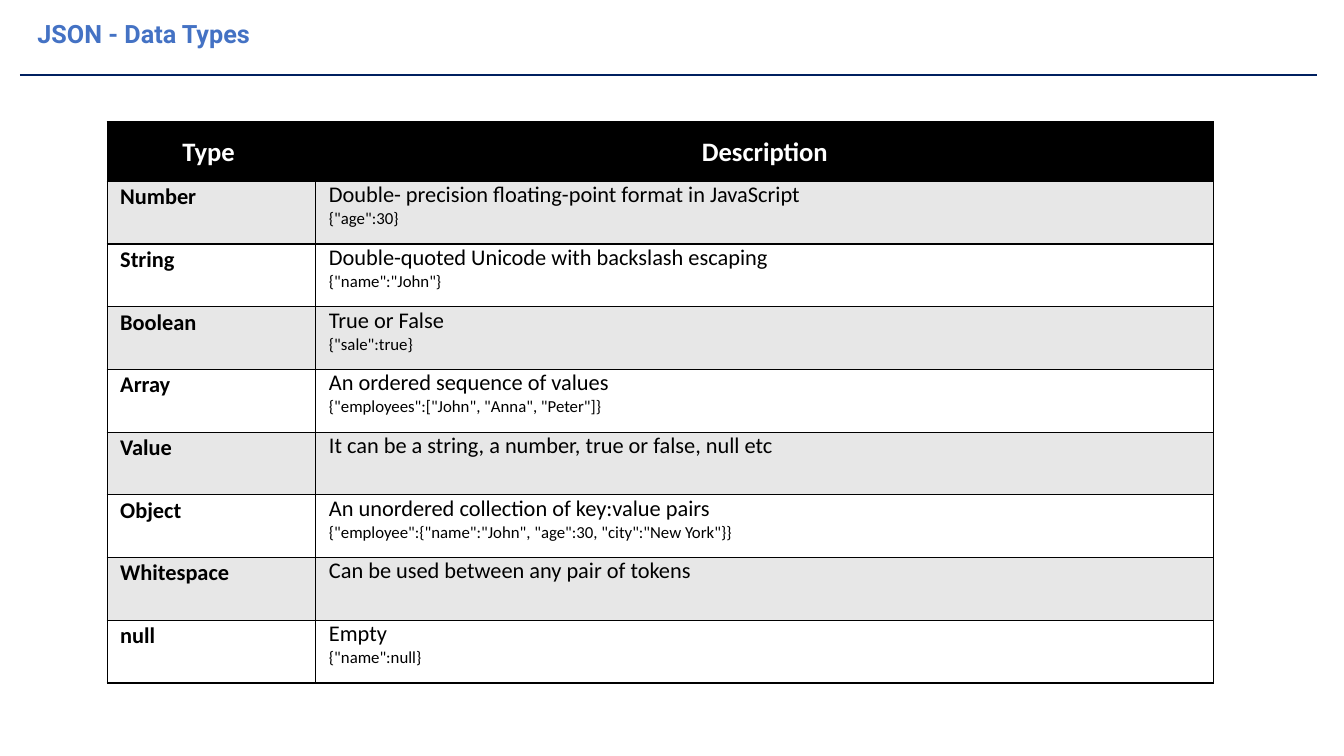
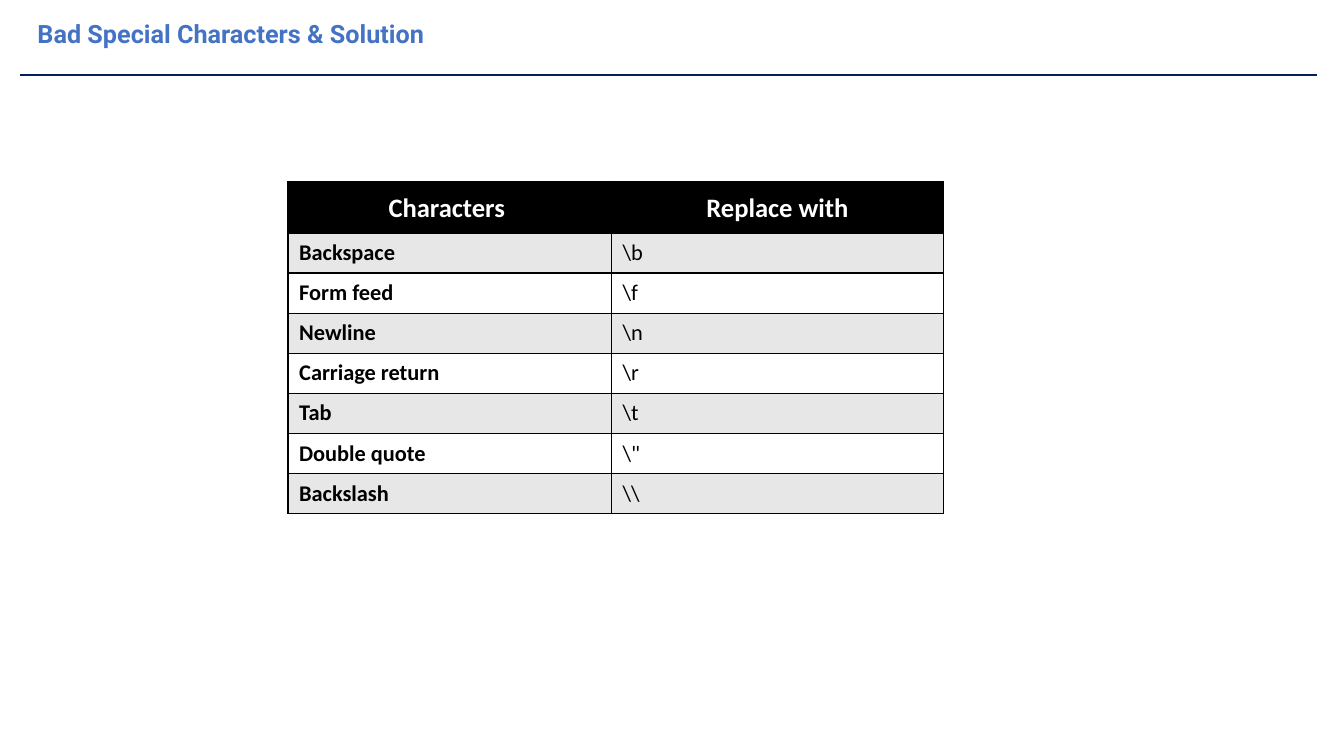
from dataclasses import dataclass

from lxml import etree
from pptx import Presentation
from pptx.dml.color import RGBColor
from pptx.enum.shapes import MSO_CONNECTOR
from pptx.enum.text import MSO_ANCHOR, MSO_AUTO_SIZE, PP_ALIGN
from pptx.oxml.ns import qn
from pptx.presentation import Presentation as Deck
from pptx.slide import Slide
from pptx.table import _Cell as Cell
from pptx.text.text import _Paragraph as Paragraph
from pptx.util import Cm, Pt

STRAIGHT = MSO_CONNECTOR.STRAIGHT
TOP, MIDDLE = MSO_ANCHOR.TOP, MSO_ANCHOR.MIDDLE
LEFT, CENTER = PP_ALIGN.LEFT, PP_ALIGN.CENTER
NO_AUTOFIT = MSO_AUTO_SIZE.NONE
TITLE_ONLY = 5

COLORS = {
    "title": "4472C4",
    "rule": "002060",
    "header": "000000",
    "header_text": "FFFFFF",
    "text": "000000",
    "border": "000000",
    "odd_row": "E7E7E7",
    "even_row": "FFFFFF",
}
TITLE_FONT = "Roboto"
TABLE_FONT = "Calibri"
HEADER_MARGIN = 0.33


@dataclass(frozen=True)
class Row:
    label: str
    description: str
    example: str = ""


@dataclass(frozen=True)
class TableSpec:
    """A two-column table; all lengths are in centimetres."""
    left: float
    top: float
    widths: tuple[float, float]
    header_height: float
    row_height: float
    margin: float
    anchor: MSO_ANCHOR
    label_spacing: float
    headers: tuple[str, str]
    rows: tuple[Row, ...]


DATA_TYPES = TableSpec(
    left=2.7, top=3.07, widths=(5.26, 22.63), header_height=1.5, row_height=1.58,
    margin=0.33, anchor=TOP, label_spacing=1.07,
    headers=("Type ", "Description"),
    rows=(
        Row("Number", "Double- precision floating-point format in JavaScript", '{"age":30}'),
        Row("String", "Double-quoted Unicode with backslash escaping", '{"name":"John"}'),
        Row("Boolean", "True or False", '{"sale":true}'),
        Row("Array", "An ordered sequence of values",
            '{"employees":["John", "Anna", "Peter"]}'),
        Row("Value", "It can be a string, a number, true or false, null etc"),
        Row("Object", "An unordered collection of key:value pairs",
            '{"employee":{"name":"John", "age":30, "city":"New York"}}'),
        Row("Whitespace", "Can be used between any pair of tokens"),
        Row("null", "Empty", '{"name":null}'),
    ),
)

SPECIAL_CHARACTERS = TableSpec(
    left=7.26, top=4.57, widths=(8.15, 8.36), header_height=1.3, row_height=1.01,
    margin=0.28, anchor=MIDDLE, label_spacing=1.0,
    headers=("Characters ", "Replace with"),
    rows=(
        Row("Backspace", r"\b"),
        Row("Form feed", r"\f"),
        Row("Newline", r"\n"),
        Row("Carriage return", r"\r"),
        Row("Tab", r"\t"),
        Row("Double quote", r'\"'),
        Row("Backslash", r"\\"),
    ),
)


def rgb(name: str) -> RGBColor:
    return RGBColor.from_string(COLORS[name])


def style_paragraph(para: Paragraph, font: str, size: float, color: str,
                    bold: bool = False, align: PP_ALIGN = LEFT,
                    spacing: float = 1.0) -> None:
    para.alignment = align
    para.line_spacing = spacing
    para.font.name = font
    para.font.size = Pt(size)
    para.font.bold = bold
    para.font.color.rgb = rgb(color)


def add_titled_slide(deck: Deck, title: str) -> Slide:
    """Add a slide with the shared title style and the rule below it."""
    slide = deck.slides.add_slide(deck.slide_layouts[TITLE_ONLY])
    box = slide.shapes.title
    box.left, box.top, box.width, box.height = Cm(0.69), Cm(0.33), Cm(16.43), Cm(1.02)
    frame = box.text_frame
    frame.text = title
    frame.word_wrap = True
    frame.auto_size = NO_AUTOFIT
    frame.vertical_anchor = TOP
    style_paragraph(frame.paragraphs[0], TITLE_FONT, 18, "title", bold=True)

    rule = slide.shapes.add_connector(STRAIGHT, Cm(0.5), Cm(1.9), Cm(33.18), Cm(1.9))
    rule.line.color.rgb = rgb("rule")
    rule.line.width = Pt(1.5)
    etree.SubElement(rule._element.spPr, qn("a:effectLst"))
    return slide


def add_borders(cell: Cell) -> None:
    properties = cell._tc.get_or_add_tcPr()
    for side in ("a:lnL", "a:lnR", "a:lnT", "a:lnB"):
        line = etree.SubElement(properties, qn(side), w=str(Pt(1)))
        fill = etree.SubElement(line, qn("a:solidFill"))
        etree.SubElement(fill, qn("a:srgbClr"), val=COLORS["border"])


def format_cell(cell: Cell, fill: str, margin: float, anchor: MSO_ANCHOR) -> None:
    # Borders must precede the fill in the cell properties.
    add_borders(cell)
    cell.fill.solid()
    cell.fill.fore_color.rgb = rgb(fill)
    cell.margin_left = cell.margin_right = Cm(margin)
    cell.margin_top = cell.margin_bottom = 0
    cell.vertical_anchor = anchor


def fill_row(label: Cell, description: Cell, row: Row, spec: TableSpec) -> None:
    label.text = row.label
    style_paragraph(label.text_frame.paragraphs[0], TABLE_FONT, 16, "text",
                    bold=True, spacing=spec.label_spacing)
    description.text = row.description
    frame = description.text_frame
    style_paragraph(frame.paragraphs[0], TABLE_FONT, 16, "text")
    if row.example:
        para = frame.add_paragraph()
        para.text = row.example
        style_paragraph(para, TABLE_FONT, 12, "text")


def add_table(slide: Slide, spec: TableSpec) -> None:
    count = len(spec.rows)
    height = spec.header_height + count * spec.row_height
    table = slide.shapes.add_table(count + 1, 2, Cm(spec.left), Cm(spec.top),
                                   Cm(sum(spec.widths)), Cm(height)).table
    table.horz_banding = False
    for column, width in zip(table.columns, spec.widths):
        column.width = Cm(width)

    table.rows[0].height = Cm(spec.header_height)
    for cell, header in zip(table.rows[0].cells, spec.headers):
        format_cell(cell, "header", HEADER_MARGIN, MIDDLE)
        cell.text = header
        style_paragraph(cell.text_frame.paragraphs[0], TABLE_FONT, 19, "header_text",
                        bold=True, align=CENTER, spacing=1.07)

    for index, row in enumerate(spec.rows, start=1):
        table.rows[index].height = Cm(spec.row_height)
        label, description = table.rows[index].cells
        for cell in (label, description):
            format_cell(cell, "odd_row" if index % 2 else "even_row",
                        spec.margin, spec.anchor)
        fill_row(label, description, row, spec)


def main() -> None:
    deck = Presentation()
    deck.slide_width, deck.slide_height = Cm(33.87), Cm(19.05)
    for title, spec in (
        ("JSON - Data Types", DATA_TYPES),
        ("Bad Special Characters & Solution", SPECIAL_CHARACTERS),
    ):
        add_table(add_titled_slide(deck, title), spec)
    deck.save("out.pptx")


if __name__ == "__main__":
    main()
